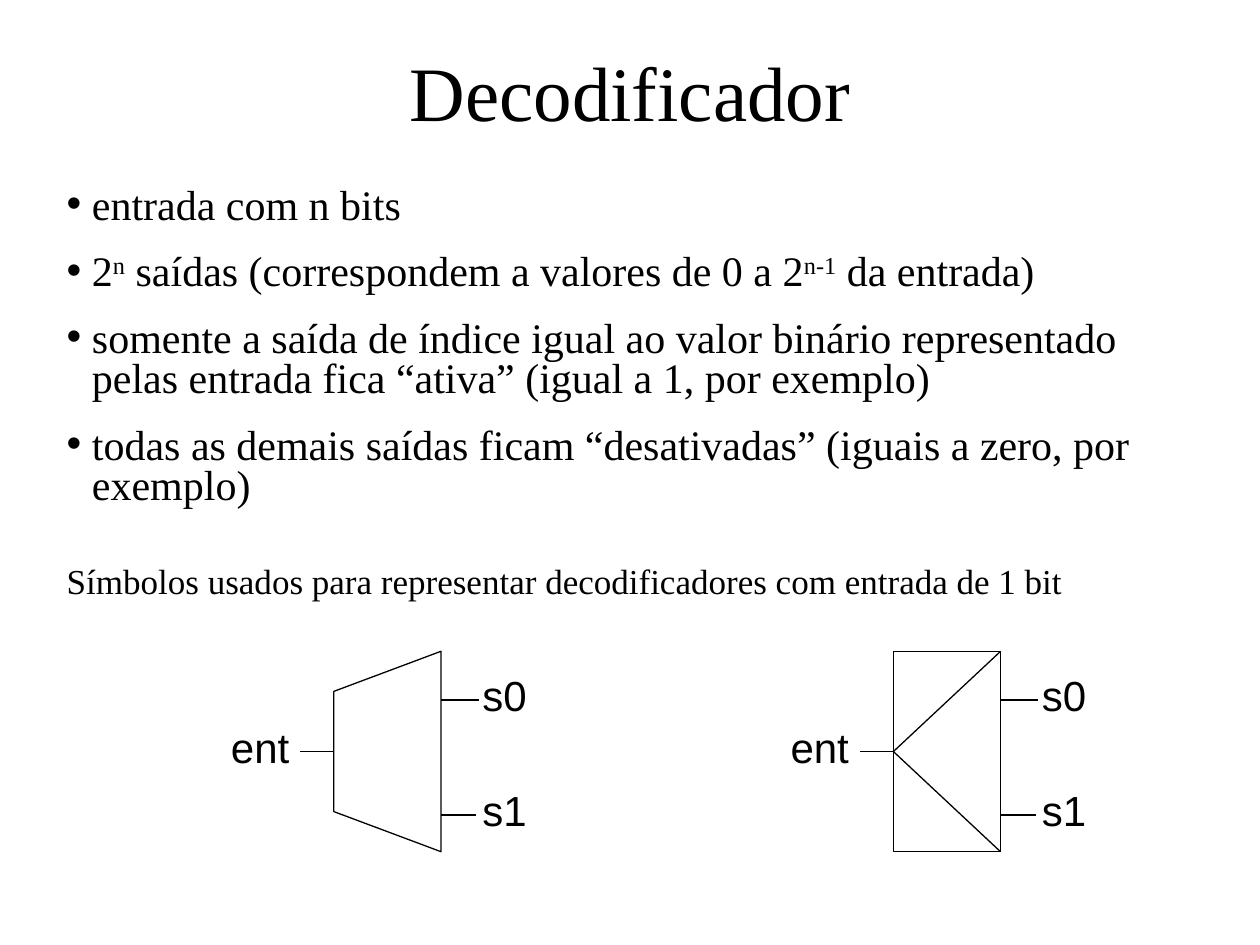
from lxml.etree import SubElement
from pptx import Presentation
from pptx.dml.color import RGBColor
from pptx.enum.shapes import MSO_CONNECTOR as Link, MSO_SHAPE as Shape
from pptx.enum.text import MSO_ANCHOR as Anchor, MSO_AUTO_SIZE as AutoSize, PP_ALIGN as Align
from pptx.oxml.ns import qn
from pptx.util import Cm, Pt

# Content: each paragraph is a list of (text, is superscript)
TITLE = "Decodificador"
BULLETS = [
    [("entrada com n bits", False)],
    [("2", False), ("n", True), (" saídas (correspondem a valores de 0 a 2", False),
     ("n-1", True), (" da entrada)", False)],
    [("somente a saída de índice igual ao valor binário representado pelas "
      "entrada fica “ativa” (igual a 1, por exemplo)", False)],
    [("todas as demais saídas ficam “desativadas” (iguais a zero, por exemplo)", False)],
]
CAPTION = [("Símbolos usados para representar decodificadores com entrada de 1 bit", False)]
INPUT = "ent"
OUTPUTS = [("s0", 0.76), ("s1", 0.71)]  # label, wire length

# Geometry in cm
TRAPEZOID_LEFT, RECTANGLE_LEFT = 6.73, 18.01
TOP, WIDTH, HEIGHT = 13.13, 2.16, 4.04
MIDDLE = TOP + HEIGHT / 2
FIRST_OUTPUT, OUTPUT_STEP = TOP + 0.98, 2.32
LABEL_HEIGHT = 1.27
BLACK, WHITE = "000000", "FFFFFF"


def color(target, value):
    target.rgb = RGBColor.from_string(value)


def style(para, size, face, align):
    para.alignment = align
    para.font.size = Pt(size)
    para.font.name = face
    color(para.font.color, BLACK)


def place(shape, left, top, width, height):
    shape.left, shape.top, shape.width, shape.height = map(Cm, (left, top, width, height))


def outline(kind, left, top, width, height):
    shape = page.shapes.add_shape(kind, Cm(left), Cm(top), Cm(width), Cm(height))
    shape.shadow.inherit = False
    shape.fill.background()
    color(shape.line.color, BLACK)
    shape.line.width = Pt(0.75)
    return shape


def wire(x1, y1, x2, y2):
    line = page.shapes.add_connector(Link.STRAIGHT, Cm(x1), Cm(y1), Cm(x2), Cm(y2))
    color(line.line.color, BLACK)
    line.line.width = Pt(0.75)
    SubElement(line._element.spPr, qn("a:effectLst"))
    return line


def label(text, left, top, width):
    box = page.shapes.add_textbox(Cm(left), Cm(top), Cm(width), Cm(LABEL_HEIGHT))
    box.fill.solid()
    color(box.fill.fore_color, WHITE)
    box.text_frame.word_wrap = True
    para = box.text_frame.paragraphs[0]
    para.text = text
    style(para, 24, "Arial", Align.CENTER)


def terminals(left):
    """Labels and output wires; returns the input wire."""
    label(INPUT, left - 2.35, MIDDLE - 0.72, 1.73)
    for index, (text, length) in enumerate(OUTPUTS):
        y = FIRST_OUTPUT + index * OUTPUT_STEP
        label(text, left + 2.54, y - 0.73, 1.8)
        wire(left + WIDTH, y, left + WIDTH + length, y)
    return wire(left, MIDDLE, left - 0.68, MIDDLE)


def write(para, spans, bullet, size, before):
    for text, raised in spans:
        span = para.add_run()
        span.text = text
        if raised:
            span._r.get_or_add_rPr().set("baseline", "30000")
    props = para._p.get_or_add_pPr()
    props.set("marL", str(Cm(0.51)))
    props.set("indent", str(-Cm(0.51)))
    if bullet:
        SubElement(props, qn("a:buChar"), char="•")
    else:
        SubElement(props, qn("a:buNone"))
    para.line_spacing = 0.8
    para.space_before = Pt(before)
    style(para, size, "Times New Roman", Align.LEFT)


deck = Presentation()
deck.slide_width, deck.slide_height = Cm(25.4), Cm(19.05)
page = deck.slides.add_slide(deck.slide_layouts[1])

# Title
title = page.shapes.title
place(title, 1.9, 0.23, 21.6, 3.18)
title.text_frame.text = TITLE
title.text_frame.vertical_anchor = Anchor.MIDDLE
style(title.text_frame.paragraphs[0], 44, "Times New Roman", Align.CENTER)

# Bullets and caption
body = page.placeholders[1]
place(body, 1.09, 3.66, 23.34, 8.71)
frame = body.text_frame
frame.word_wrap = True
frame.auto_size = AutoSize.NONE
for index, spans in enumerate(BULLETS):
    para = frame.add_paragraph() if index else frame.paragraphs[0]
    write(para, spans, True, 24, 15 if index else 0)
write(frame.add_paragraph(), CAPTION, False, 20, 34)

# Trapezoid symbol: a wide shape turned a quarter about its centre
turn = (HEIGHT - WIDTH) / 2
trapezoid = outline(Shape.FLOWCHART_MANUAL_OPERATION,
                    TRAPEZOID_LEFT - turn, TOP + turn, HEIGHT, WIDTH)
trapezoid.rotation = 90
terminals(TRAPEZOID_LEFT)

# Rectangle symbol with diagonals from the input to the right corners
rectangle = outline(Shape.RECTANGLE, RECTANGLE_LEFT, TOP, WIDTH, HEIGHT)
terminals(RECTANGLE_LEFT).begin_connect(rectangle, 1)
for corner in (TOP, TOP + HEIGHT):
    diagonal = wire(RECTANGLE_LEFT, MIDDLE, RECTANGLE_LEFT + WIDTH, corner)
    diagonal.begin_connect(rectangle, 1)

deck.save("out.pptx")
